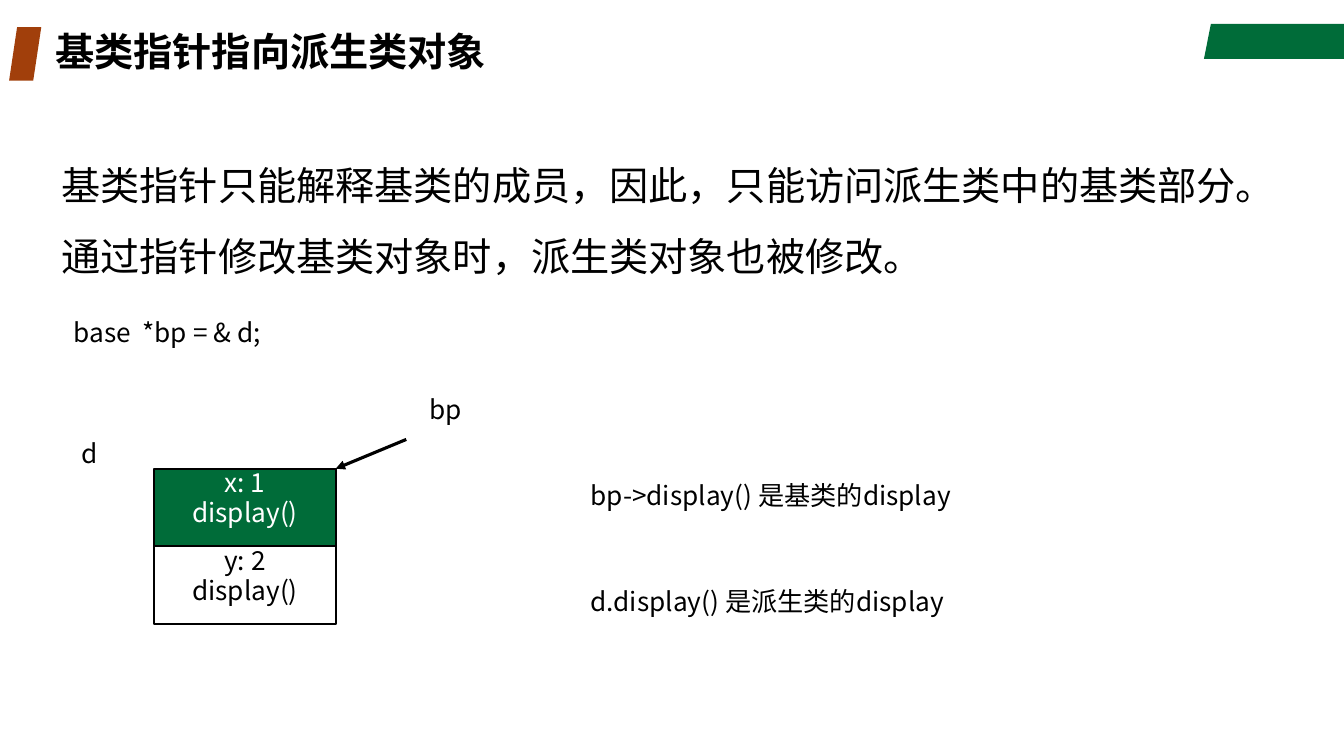
"""Build the slide on a base class pointer that points to a derived class object."""
from lxml import etree
from pptx import Presentation
from pptx.dml.color import RGBColor
from pptx.enum.shapes import MSO_CONNECTOR as CONN, MSO_SHAPE as SHAPE
from pptx.enum.text import MSO_ANCHOR as ANCHOR, MSO_AUTO_SIZE as AUTO, PP_ALIGN as ALIGN
from pptx.oxml.ns import qn
from pptx.util import Pt

GREEN = RGBColor(0x00, 0x6C, 0x39)
RUST = RGBColor(0xA1, 0x3F, 0x0B)
BLACK = RGBColor(0x00, 0x00, 0x00)
WHITE = RGBColor(0xFF, 0xFF, 0xFF)
FONT = "Noto Sans CJK SC"


def place(sp, left, top, width, height):
    sp.left, sp.top, sp.width, sp.height = Pt(left), Pt(top), Pt(width), Pt(height)


def write(sp, lines, size, color=BLACK, bold=False, inset=None, frame=None, **para):
    tf = sp.text_frame
    form = {"word_wrap": True, "auto_size": AUTO.NONE, "vertical_anchor": ANCHOR.TOP}
    if inset is not None:
        form.update(dict.fromkeys(
            ("margin_left", "margin_top", "margin_right", "margin_bottom"), Pt(inset)))
    for name, value in (form | (frame or {})).items():
        setattr(tf, name, value)
    for i, line in enumerate(lines):
        p = tf.paragraphs[0] if i == 0 else tf.add_paragraph()
        for name, value in para.items():
            setattr(p, name, value)
        r = p.add_run()
        r.text = line
        for name, value in {"size": Pt(size), "bold": bold, "name": FONT}.items():
            setattr(r.font, name, value)
        r.font.color.rgb = color
        etree.SubElement(r.font._element, qn("a:ea"), typeface=FONT)


prs = Presentation()
prs.slide_width, prs.slide_height = Pt(960), Pt(540)
s = prs.slides.add_slide(prs.slide_layouts[1])

builder = s.shapes.build_freeform(864.7, 16.6, scale=Pt(1))
builder.add_line_segments([(960, 16.6), (960, 42.5), (859.7, 42.5)])
banner = builder.convert_to_shape()
marker = s.shapes.add_shape(SHAPE.PARALLELOGRAM, Pt(6.5), Pt(19.4), Pt(23), Pt(38.2))
marker.adjustments[0] = 0.25
for sp, color in ((banner, GREEN), (marker, RUST)):
    sp.shadow.inherit = False
    sp.fill.solid()
    sp.fill.fore_color.rgb = color
    sp.line.fill.background()

title = s.shapes.title
place(title, 32.4, 19.4, 680.4, 38.2)
write(title, ["基类指针指向派生类对象"], 28, bold=True,
      frame={"vertical_anchor": ANCHOR.MIDDLE}, alignment=ALIGN.LEFT, line_spacing=0.9)

body = s.placeholders[1]
place(body, 36.7, 105.1, 886.3, 103)
write(body, ["基类指针只能解释基类的成员，因此，只能访问派生类中的基类部分。",
             "通过指针修改基类对象时，派生类对象也被修改。"], 28,
      line_spacing=1.2, space_before=Pt(10))
for p in body.text_frame.paragraphs:
    pPr = p._p.get_or_add_pPr()
    pPr.set("marL", "0")
    pPr.set("indent", "0")
    etree.SubElement(pPr, qn("a:buNone"))

BOX_LEFT, BOX_TOP, BOX_W, BOX_H = 110.2, 334.8, 129.6, 55.5
members = [("x: 1", GREEN, WHITE), ("y: 2", None, BLACK)]
for i, (member, fill, color) in enumerate(members):
    sp = s.shapes.add_shape(SHAPE.RECTANGLE, Pt(BOX_LEFT), Pt(BOX_TOP + i * BOX_H),
                            Pt(BOX_W), Pt(BOX_H))
    sp.shadow.inherit = False
    if fill is None:
        sp.fill.background()
    else:
        sp.fill.solid()
        sp.fill.fore_color.rgb = fill
    sp.line.color.rgb = BLACK
    sp.line.width = Pt(1.5)
    write(sp, [member, "display()"], 18.7, color, inset=0,
          alignment=ALIGN.CENTER, line_spacing=0.96)

for name, left, top in (("d", 58.3, 313.9), ("bp", 306.7, 282.2)):
    sp = s.shapes.add_textbox(Pt(left), Pt(top), Pt(37.4), Pt(52.6))
    write(sp, [name], 18.7, inset=0, alignment=ALIGN.JUSTIFY, line_spacing=0.96)

arrow = s.shapes.add_connector(CONN.STRAIGHT, Pt(290.2), Pt(313.9),
                               Pt(BOX_LEFT + BOX_W), Pt(BOX_TOP))
arrow.line.color.rgb = BLACK
arrow.line.width = Pt(2.25)
etree.SubElement(arrow.line._get_or_add_ln(), qn("a:tailEnd"), type="triangle")
etree.SubElement(arrow._element.spPr, qn("a:effectLst"))

notes = [("base  *bp = & d;", 45.4, 222.5, 262.8),
         ("bp->display() 是基类的display", 414.7, 339.1, 349.2),
         ("d.display() 是派生类的display", 414.7, 414.7, 319)]
for text, left, top, width in notes:
    sp = s.shapes.add_textbox(Pt(left), Pt(top), Pt(width), Pt(30.2))
    write(sp, [text], 18.7, frame={"auto_size": AUTO.SHAPE_TO_FIT_TEXT})

prs.save("out.pptx")
